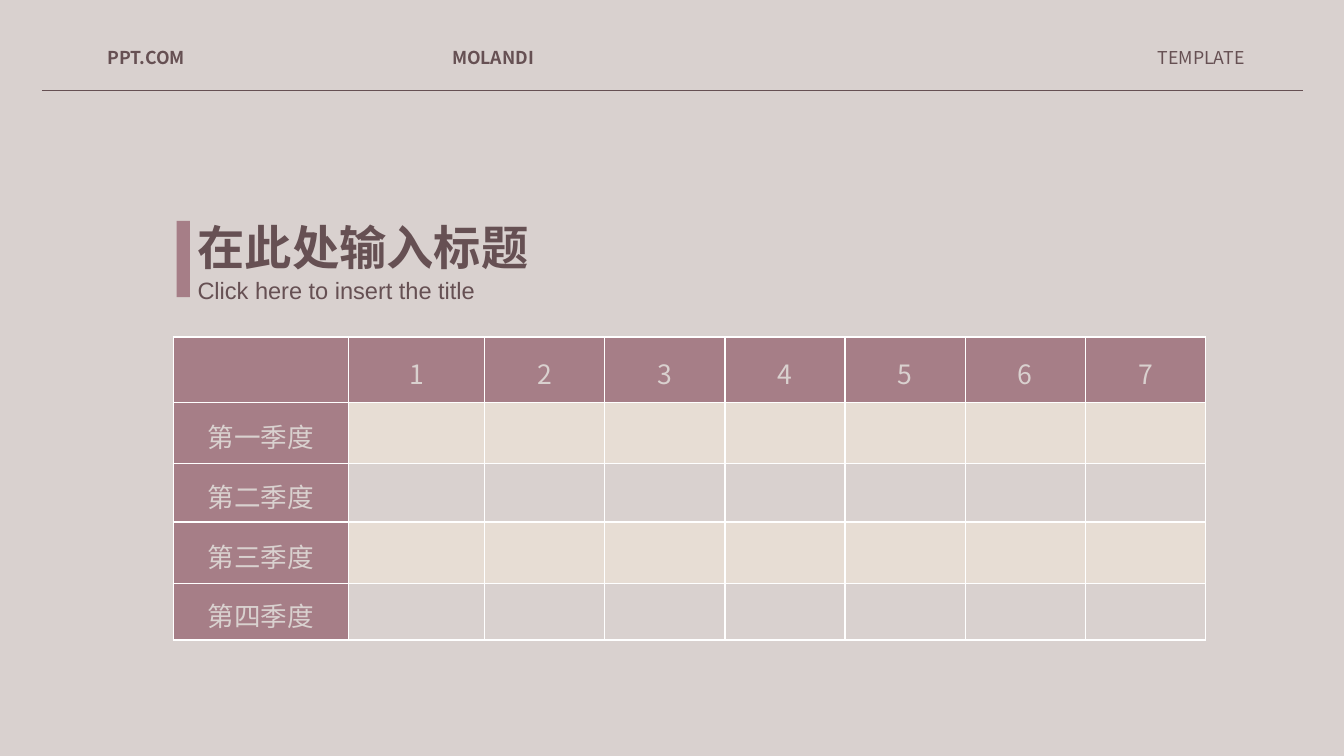
from pptx import Presentation
from pptx.dml.color import RGBColor
from pptx.enum.shapes import MSO_CONNECTOR, MSO_SHAPE
from pptx.enum.text import MSO_ANCHOR, MSO_AUTO_SIZE, PP_ALIGN
from pptx.oxml.ns import qn
from pptx.util import Cm, Pt
from lxml.etree import SubElement

BACKGROUND = "D9D1CF"
DARK = "665053"
ROSE = "A67E87"
CREAM = "E7DDD4"
WHITE = "FFFFFF"
SANS = "Noto Sans CJK SC"


def paint(color_target, color):
    """Give a fill or a line's fill one solid colour."""
    color_target.solid()
    color_target.fore_color.rgb = RGBColor.from_string(color)


def style_paragraph(paragraph, size, color, name=SANS, bold=False):
    paragraph.line_spacing = 1.16
    font = paragraph.font
    font.size, font.bold, font.name = Pt(size), bold, name
    paint(font.fill, color)
    SubElement(font._element, qn("a:ea"), typeface=name)


def add_text(slide, text, left, top, width, height, size, **style):
    box = slide.shapes.add_textbox(Cm(left), Cm(top), Cm(width), Cm(height))
    frame = box.text_frame
    frame.word_wrap = True
    frame.auto_size = MSO_AUTO_SIZE.SHAPE_TO_FIT_TEXT
    frame.vertical_anchor = MSO_ANCHOR.MIDDLE
    frame.margin_left = frame.margin_right = frame.margin_top = frame.margin_bottom = 0
    frame.text = text
    style_paragraph(frame.paragraphs[0], size, DARK, **style)


def add_header(slide, left, top, width):
    """Three labels above a thin rule."""
    labels = [("PPT.COM", 1.57, True), ("MOLANDI", 9.8, True), ("TEMPLATE", 26.66, False)]
    for text, offset, bold in labels:
        add_text(slide, text, left + offset, top, 2.67, 0.66, 12, bold=bold)
    rule_top = Cm(top + 1.17)
    rule = slide.shapes.add_connector(
        MSO_CONNECTOR.STRAIGHT, Cm(left), rule_top, Cm(left + width), rule_top)
    paint(rule.line.fill, DARK)
    rule.line.width = Pt(0.5)
    SubElement(rule._element.spPr, qn("a:effectLst"))


def add_title(slide, left, top):
    """Heading and subheading beside an accent bar."""
    add_text(slide, "在此处输入标题", left + 0.5, top, 8.2, 1.57, 32, bold=True)
    add_text(slide, "Click here to insert the title", left + 0.5, top + 1.45,
             13, 0.84, 16, name="Arial")
    bar = slide.shapes.add_shape(
        MSO_SHAPE.RECTANGLE, Cm(left), Cm(top + 0.28), Cm(0.32), Cm(1.82))
    bar.shadow.inherit = False
    paint(bar.fill, ROSE)
    bar.line.fill.background()


def style_cell(cell, fill):
    properties = cell._tc.get_or_add_tcPr()
    for side in ("lnL", "lnR", "lnT", "lnB"):
        border = SubElement(properties, qn(f"a:{side}"), w=str(Pt(1)))
        SubElement(SubElement(border, qn("a:solidFill")), qn("a:srgbClr"), val=WHITE)
    paint(cell.fill, fill)
    cell.vertical_anchor = MSO_ANCHOR.MIDDLE
    cell.margin_left = cell.margin_right = Cm(0.18)
    cell.margin_top = cell.margin_bottom = Cm(0.13)
    paragraph = cell.text_frame.paragraphs[0]
    paragraph.alignment = PP_ALIGN.CENTER
    style_paragraph(paragraph, 18, BACKGROUND)


def add_quarter_table(slide, left, top):
    column_widths = [4.19, 3.25] + [2.87] * 6
    row_heights = [1.57, 1.45, 1.4, 1.47, 1.35]
    quarters = ["第一季度", "第二季度", "第三季度", "第四季度"]
    table = slide.shapes.add_table(
        len(row_heights), len(column_widths), Cm(left), Cm(top),
        Cm(sum(column_widths)), Cm(sum(row_heights))).table
    for column, width in zip(table.columns, column_widths):
        column.width = Cm(width)
    for row, height in zip(table.rows, row_heights):
        row.height = Cm(height)
    for number in range(1, len(column_widths)):
        table.cell(0, number).text = str(number)
    for number, quarter in enumerate(quarters, start=1):
        table.cell(number, 0).text = quarter
    for row_index in range(len(row_heights)):
        band = CREAM if row_index % 2 else BACKGROUND
        for column_index in range(len(column_widths)):
            is_heading = row_index == 0 or column_index == 0
            style_cell(table.cell(row_index, column_index), ROSE if is_heading else band)


def main():
    presentation = Presentation()
    presentation.slide_width, presentation.slide_height = Cm(32.11), Cm(18.06)
    slide = presentation.slides.add_slide(presentation.slide_layouts[6])
    paint(slide.background.fill, BACKGROUND)
    add_header(slide, left=1, top=0.99, width=30.14)
    add_quarter_table(slide, left=4.14, top=8.05)
    add_title(slide, left=4.22, top=5)
    presentation.save("out.pptx")


if __name__ == "__main__":
    main()
